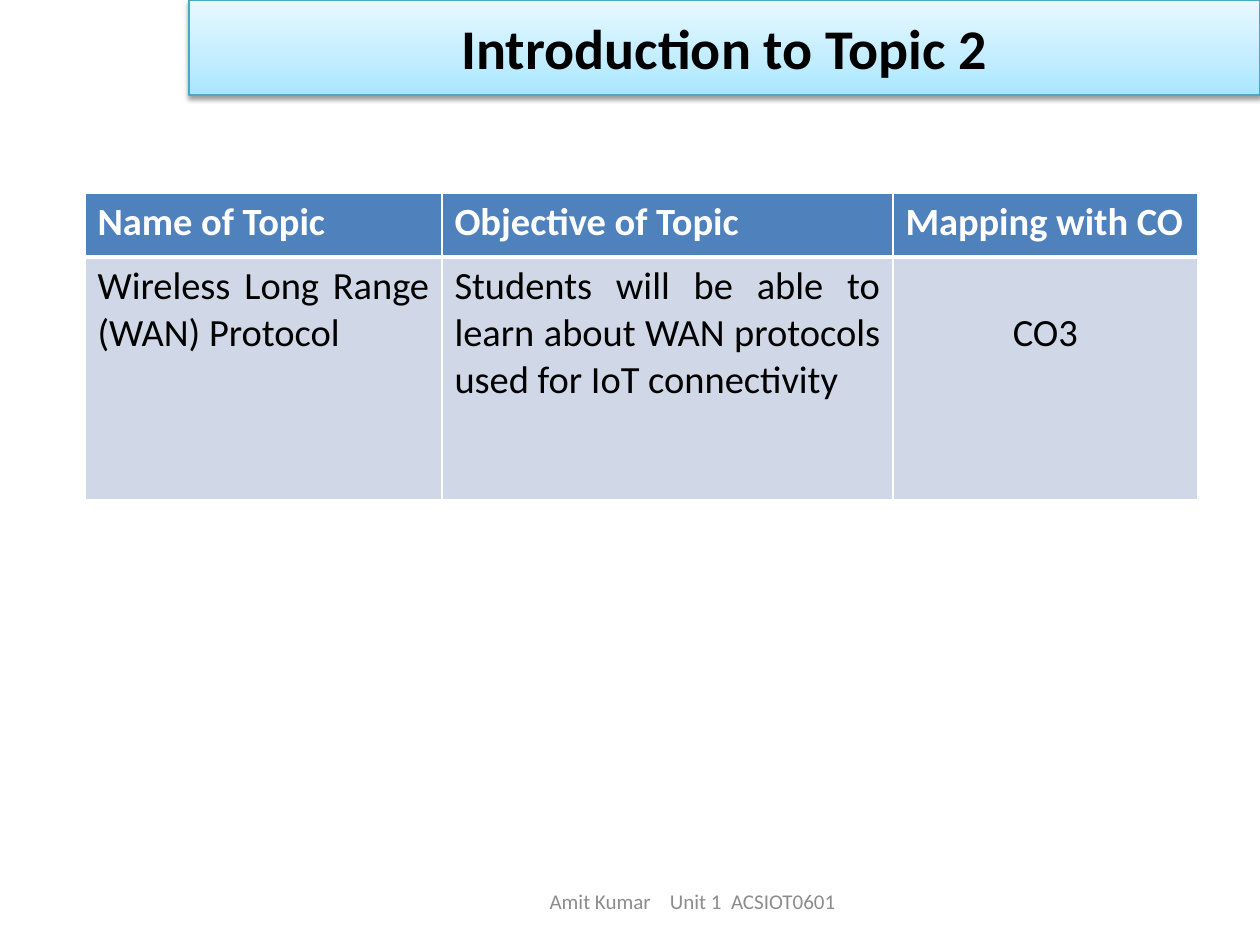
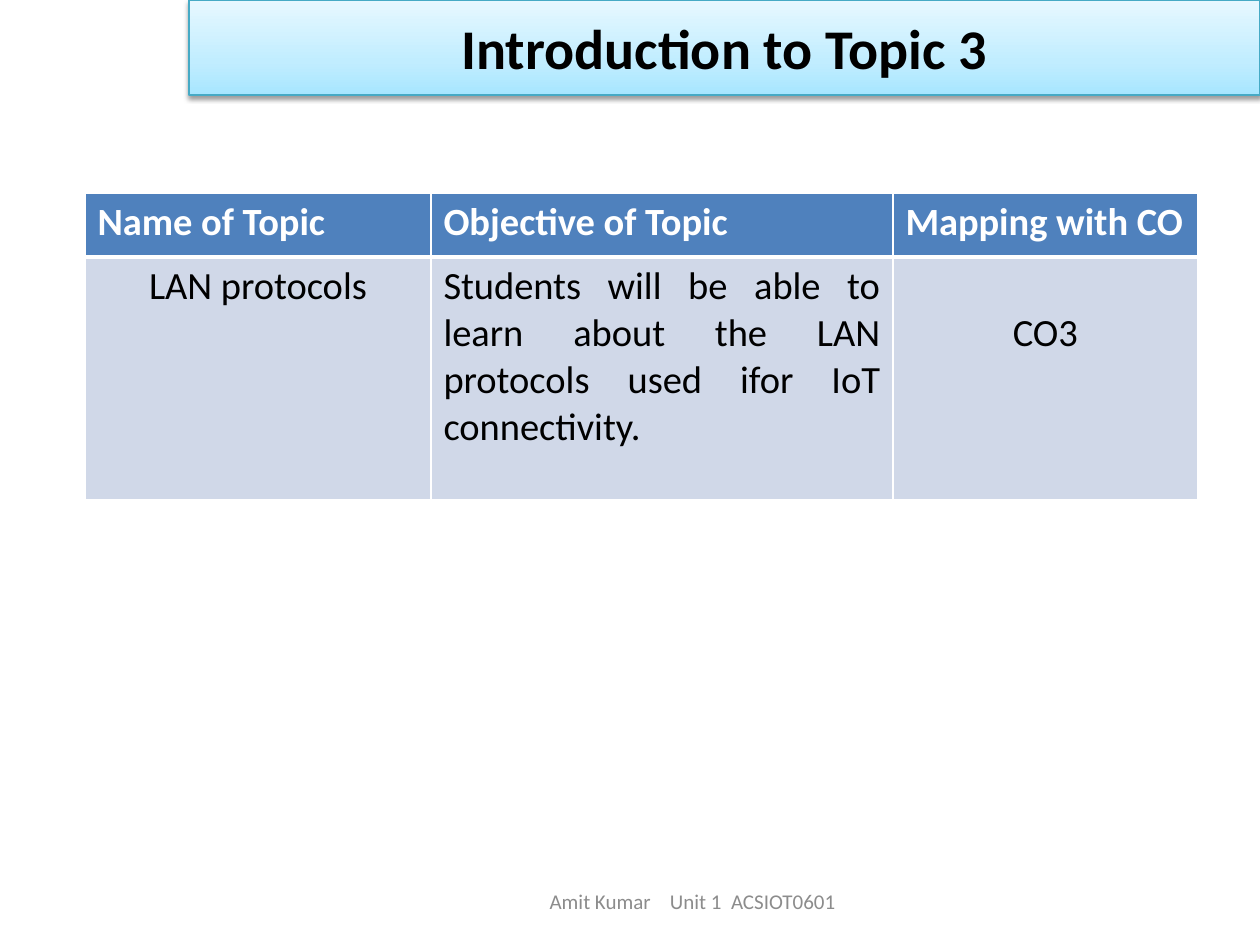
"""Build two course slides, each introducing a topic with its objective and outcome."""
from lxml import etree
from pptx import Presentation
from pptx.dml.color import RGBColor
from pptx.enum.shapes import MSO_SHAPE
from pptx.enum.text import MSO_ANCHOR, PP_ALIGN
from pptx.oxml.ns import qn
from pptx.util import Emu, Pt

RECTANGLE = MSO_SHAPE.RECTANGLE
MIDDLE = MSO_ANCHOR.MIDDLE
LEFT, CENTER, JUSTIFY = PP_ALIGN.LEFT, PP_ALIGN.CENTER, PP_ALIGN.JUSTIFY

BLACK = RGBColor(0x00, 0x00, 0x00)
WHITE = RGBColor(0xFF, 0xFF, 0xFF)
GREY = RGBColor(0x8C, 0x8C, 0x8C)
HEADER_BLUE = RGBColor(0x4F, 0x81, 0xBD)
BODY_BLUE = RGBColor(0xD0, 0xD8, 0xE8)
BAND_LINE = RGBColor(0x46, 0xAA, 0xC5)
BAND_STOPS = [
    (0, RGBColor(0xA7, 0xE6, 0xFF)),
    (35, RGBColor(0xC1, 0xED, 0xFF)),
    (100, RGBColor(0xE7, 0xF8, 0xFF)),
]

FONT = "Calibri"
PIXELS_PER_INCH = 126
PAGE_SIZE = (1260, 945)
BAND_BOX = (189, 0, 1071, 95)
FOOTER_BOX = (346, 876, 693, 50)
TABLE_BOX = (85, 193, 1113, 307)
HEADER_HEIGHT = 64
CELL_TOP = 6
LINE_HEIGHT = 47

HEADINGS = ["Name of Topic", "Objective of Topic", "Mapping with CO"]
FOOTER_PARTS = [("Amit Kumar", 0), (" ", 8.1), ("Unit 1", 0), (" ", 2.7), ("ACSIOT0601", 0)]
TOPICS = [
    {
        "title": "Introduction to Topic 2",
        "columns": [357, 451, 305],
        "name": ("Wireless Long Range (WAN) Protocol", JUSTIFY),
        "objective": "Students will be able to learn about WAN protocols used for IoT connectivity",
        "outcome": "CO3",
    },
    {
        "title": "Introduction to Topic 3",
        "columns": [346, 462, 305],
        "name": ("LAN protocols", CENTER),
        "objective": "Students will be able to learn about the LAN protocols used ifor IoT connectivity.",
        "outcome": "CO3",
    },
]


def px(length):
    """Turn a length in pixels into EMU."""
    return Emu(round(length * 914400 / PIXELS_PER_INCH))


def place(box):
    """Turn a pixel box into left, top, width and height in EMU."""
    return [px(length) for length in box]


def add_child(parent, tag, **attributes):
    """Append a drawing element with the given attributes."""
    child = etree.SubElement(parent, qn(f"a:{tag}"))
    for name, value in attributes.items():
        child.set(name, str(value))
    return child


def add_span(para, text, size, color, bold=False):
    """Add one formatted run to a paragraph."""
    span = para.add_run()
    span.text = text
    span.font.name = FONT
    span.font.size = Pt(size)
    span.font.bold = bold
    span.font.color.rgb = color
    return span


def add_title_band(page, box, title):
    """Draw the shaded band that carries the slide title."""
    band = page.shapes.add_shape(RECTANGLE, *place(box))
    band.fill.gradient()
    band.fill.gradient_angle = 90
    stops = band._element.spPr.find(f".//{qn('a:gsLst')}")
    for stop in list(stops):
        stops.remove(stop)
    for position, color in BAND_STOPS:
        stop = add_child(stops, "gs", pos=position * 1000)
        add_child(stop, "srgbClr", val=color)
    band.line.color.rgb = BAND_LINE
    band.line.width = Pt(0.75)
    band.shadow.inherit = False
    effects = band._element.spPr.find(qn("a:effectLst"))
    shadow = add_child(effects, "outerShdw", blurRad=Pt(3.1), dist=Pt(1.6),
                       dir=5400000, rotWithShape=0)
    add_child(add_child(shadow, "srgbClr", val=BLACK), "alpha", val=38000)
    band.text_frame.vertical_anchor = MIDDLE
    para = band.text_frame.paragraphs[0]
    para.alignment = CENTER
    add_span(para, title, 32, BLACK, bold=True)


def add_footer(page, box):
    """Write the centred footer, widening its gaps by character spacing."""
    frame = page.shapes.add_textbox(*place(box)).text_frame
    frame.word_wrap = True
    frame.vertical_anchor = MIDDLE
    para = frame.paragraphs[0]
    para.alignment = CENTER
    for text, spacing in FOOTER_PARTS:
        span = add_span(para, text, 12, GREY)
        if spacing:
            span.font._element.set("spc", str(round(spacing * 100)))


def fill_cell(cell, text, alignment, is_header, lines_above=0):
    """Style one table cell and write its text."""
    properties = cell._tc.get_or_add_tcPr()
    widths = {"lnL": 1, "lnR": 1, "lnT": 1 if is_header else 3, "lnB": 3 if is_header else 1}
    for side, width in widths.items():
        line = add_child(properties, side, w=Pt(width))
        add_child(add_child(line, "solidFill"), "srgbClr", val=WHITE)
    cell.fill.solid()
    cell.fill.fore_color.rgb = HEADER_BLUE if is_header else BODY_BLUE
    cell.margin_top = px(CELL_TOP + lines_above * LINE_HEIGHT)
    para = cell.text_frame.paragraphs[0]
    para.alignment = alignment
    add_span(para, text, 22, WHITE if is_header else BLACK, bold=is_header)


def add_topic_table(page, box, topic):
    """Build the table of topic, objective and course outcome."""
    table = page.shapes.add_table(2, len(HEADINGS), *place(box)).table
    table.horz_banding = False
    for column, width in zip(table.columns, topic["columns"]):
        column.width = px(width)
    table.rows[0].height = px(HEADER_HEIGHT)
    table.rows[1].height = px(box[3] - HEADER_HEIGHT)
    for index, heading in enumerate(HEADINGS):
        fill_cell(table.cell(0, index), heading, LEFT, True)
    fill_cell(table.cell(1, 0), *topic["name"], False)
    fill_cell(table.cell(1, 1), topic["objective"], JUSTIFY, False)
    fill_cell(table.cell(1, 2), topic["outcome"], CENTER, False, lines_above=1)


def add_topic_page(deck, topic):
    """Add one topic introduction slide."""
    page = deck.slides.add_slide(deck.slide_layouts[6])
    add_footer(page, FOOTER_BOX)
    add_title_band(page, BAND_BOX, topic["title"])
    add_topic_table(page, TABLE_BOX, topic)


def main():
    """Build the deck and save it."""
    deck = Presentation()
    deck.slide_width, deck.slide_height = place(PAGE_SIZE)
    for topic in TOPICS:
        add_topic_page(deck, topic)
    deck.save("out.pptx")


if __name__ == "__main__":
    main()
